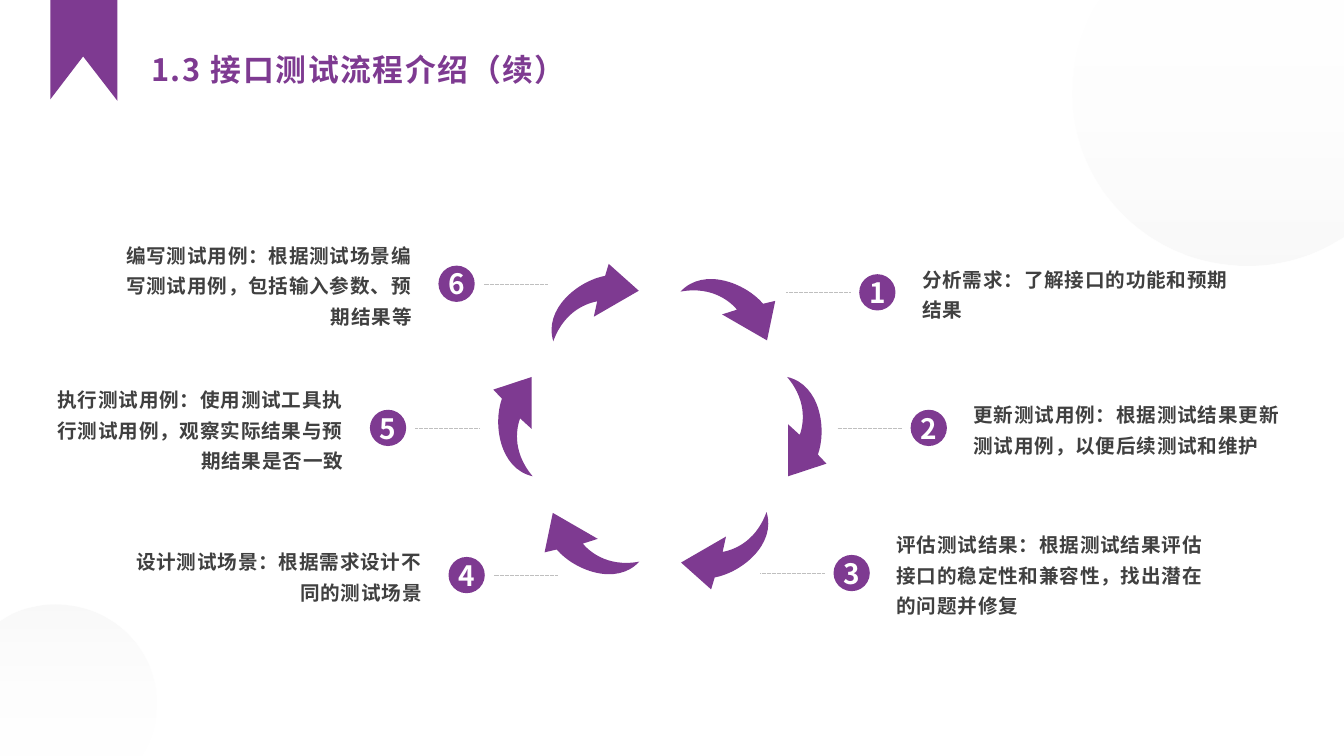
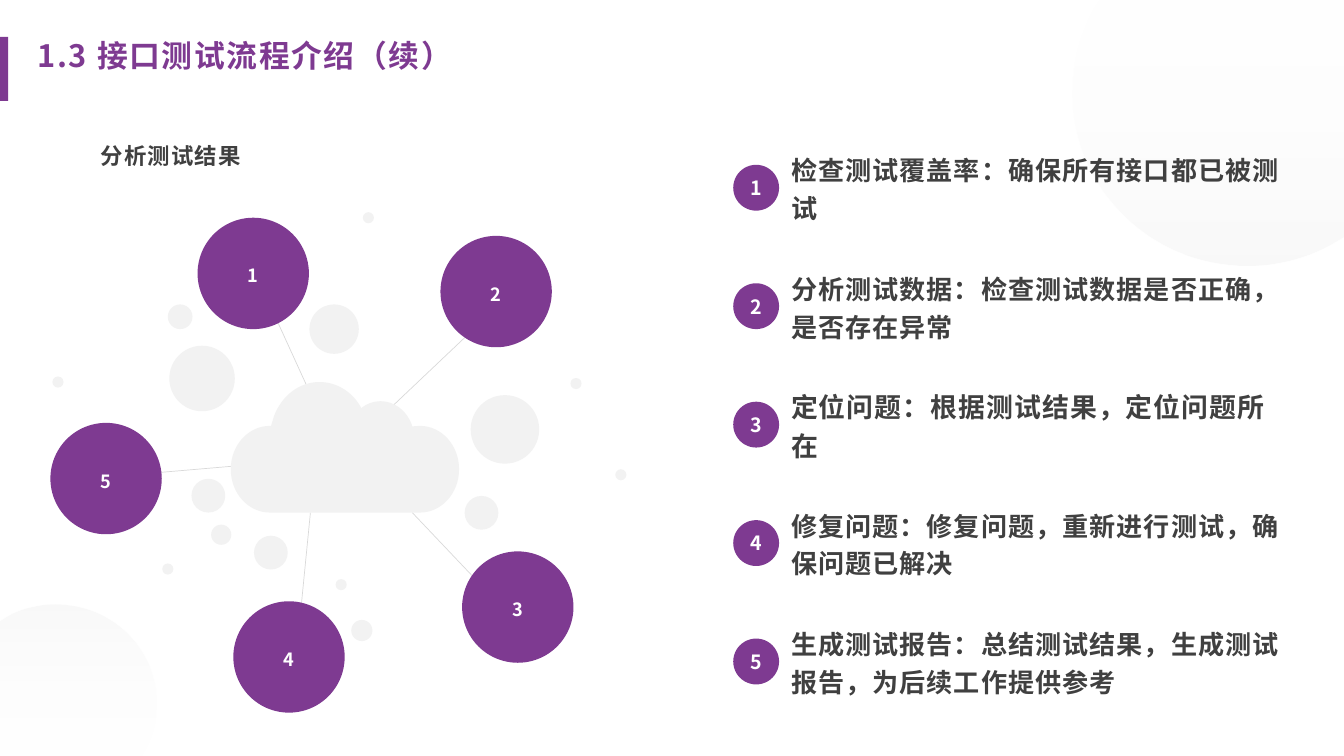
from math import cos, radians, sin

from lxml.etree import SubElement
from pptx import Presentation
from pptx.dml.color import RGBColor
from pptx.enum.dml import MSO_LINE
from pptx.enum.shapes import MSO_CONNECTOR, MSO_SHAPE
from pptx.enum.text import MSO_ANCHOR, MSO_AUTO_SIZE, PP_ALIGN
from pptx.oxml.ns import qn
from pptx.util import Inches, Pt

# Shared style
FONT = "Noto Sans CJK SC"
PURPLE, INK, WHITE = "7E3A91", "404040", "FFFFFF"
PALE, SPOKE, DASH = "F2F2F2", "D9D9D9", "BFBFBF"
TITLE = "1.3 接口测试流程介绍（续）"

# Outlines: a pair is a corner, six numbers are a Bezier curve
TOP_DISC = [
    (21.83, 0), (26.67, 0), (26.67, 4.68), (26.39, 4.84),
    (25.9, 5.11, 25.34, 5.26, 24.74, 5.26), (22.83, 5.26, 21.28, 3.73, 21.28, 1.85),
    (21.28, 1.26, 21.43, 0.71, 21.69, 0.22)]
BOTTOM_DISC = [
    (2.77, 15), (0, 15), (0, 12.32), (0.16, 12.22),
    (0.44, 12.07, 0.76, 11.99, 1.1, 11.99), (2.2, 11.99, 3.09, 12.86, 3.09, 13.94),
    (3.09, 14.28, 3, 14.6, 2.85, 14.87)]
RIBBON = [(1, 0), (2.33, 0), (2.33, 2), (1.65, 1.12), (1, 1.97)]
ARROW = [
    (16.41, 9.2), (15.65, 9.45), (15.65, 8.42), (15.88, 8.63),
    (15.93, 8.49, 16.07, 8, 15.63, 7.48), (16.29, 7.63, 16.42, 8.52, 16.24, 9.02)]
CLOUD = [
    (6.34, 7.58), (6.68, 7.58, 6.98, 7.77, 7.15, 8.06), (7.17, 8.1), (7.18, 8.09),
    (7.28, 8.01, 7.41, 7.96, 7.55, 7.96), (7.83, 7.96, 8.07, 8.15, 8.17, 8.42),
    (8.18, 8.46), (8.33, 8.45), (8.76, 8.45, 9.11, 8.83, 9.11, 9.31),
    (9.11, 9.79, 8.76, 10.17, 8.33, 10.17), (5.36, 10.17),
    (4.93, 10.17, 4.58, 9.79, 4.58, 9.31), (4.58, 8.83, 4.93, 8.45, 5.36, 8.45),
    (5.38, 8.45), (5.44, 8.25), (5.59, 7.86, 5.93, 7.58, 6.34, 7.58)]

# Cycle steps in clockwise order: inner end of the leader line, text
RING_CENTER, ARROW_CENTER = (13.1, 8.47), (16.02, 8.47)
STEPS = [
    (15.6, 5.8, "分析需求：了解接口的功能和预期结果"),
    (16.62, 8.49, "更新测试用例：根据测试结果更新测试用例，以便后续测试和维护"),
    (15.09, 11.37, "评估测试结果：根据测试结果评估接口的稳定性和兼容性，找出潜在的问题并修复"),
    (11.07, 11.41, "设计测试场景：根据需求设计不同的测试场景"),
    (9.51, 8.49, "执行测试用例：使用测试工具执行测试用例，观察实际结果与预期结果是否一致"),
    (10.87, 5.63, "编写测试用例：根据测试场景编写测试用例，包括输入参数、预期结果等")]

# Result analysis: hub circles in number order, spokes, bubbles, list
HUBS = [(3.92, 4.32), (8.74, 4.68), (9.17, 10.94), (4.63, 11.93), (1, 8.39)]
SPOKES = [
    (5.46, 6.28, 6.14, 7.77), (9.4, 6.53, 7.67, 8.17), (8.18, 10.17, 9.67, 11.74),
    (5.95, 12.3, 6.16, 10.17), (3.1, 9.38, 4.85, 9.23)]
BUBBLES = {
    1.36: [(9.34, 7.84)],
    1.3: [(3.36, 6.86)],
    0.98: [(6.14, 6.04)],
    0.67: [(5.04, 10.63), (9.22, 9.84), (3.8, 9.5)],
    0.49: [(3.33, 6.04)],
    0.42: [(6.97, 12.3)],
    0.4: [(4.19, 10.41)],
    0.22: [(7.2, 4.21), (11.32, 7.5), (1.04, 7.47), (12.21, 9.31), (6.66, 11.49),
           (3.22, 11.18)]}
CHECKS = [
    ("检查测试覆盖率：确保所有接口都已被测试", 37.3),
    ("分析测试数据：检查测试数据是否正确，是否存在异常", 37.3),
    ("定位问题：根据测试结果，定位问题所在", 38.4),
    ("修复问题：修复问题，重新进行测试，确保问题已解决", 37.3),
    ("生成测试报告：总结测试结果，生成测试报告，为后续工作提供参考", 37.3)]


def color(value):
    return RGBColor.from_string(value)


def write(sp, text, size, ink, align=PP_ALIGN.LEFT, leading=1.0, tracking=0, inset=True):
    tf = sp.text_frame
    tf.word_wrap = True
    tf.auto_size = MSO_AUTO_SIZE.NONE
    tf.vertical_anchor = MSO_ANCHOR.MIDDLE
    if not inset:
        tf.margin_left = tf.margin_right = tf.margin_top = tf.margin_bottom = 0
    p = tf.paragraphs[0]
    p.text = text
    p.alignment = align
    p.line_spacing = leading
    r = p.runs[0]
    r.font.size = Pt(size)
    r.font.bold = True
    r.font.color.rgb = color(ink)
    r.font.name = FONT
    rPr = r.font._element
    SubElement(rPr, qn("a:ea")).set("typeface", FONT)
    if tracking:
        rPr.set("spc", str(round(tracking * 100)))


def text_box(s, x, y, w, h, text, size, **style):
    sp = s.shapes.add_textbox(*map(Inches, (x, y, w, h)))
    write(sp, text, size, INK, **style)


def paint(sp, fill):
    sp.shadow.inherit = False
    sp.line.fill.background()
    sp.fill.solid()
    sp.fill.fore_color.rgb = color(fill)


def preset(s, kind, x, y, w, h, fill):
    sp = s.shapes.add_shape(kind, *map(Inches, (x, y, w, h)))
    paint(sp, fill)
    return sp


def circle(s, x, y, size, fill):
    return preset(s, MSO_SHAPE.OVAL, x, y, size, size, fill)


def badge(s, x, y, size, number, points, **style):
    write(circle(s, x, y, size, PURPLE), str(number), points, WHITE,
          align=PP_ALIGN.CENTER, **style)


def line(s, x1, y1, x2, y2, ink, width, dash=None):
    c = s.shapes.add_connector(MSO_CONNECTOR.STRAIGHT, *map(Inches, (x1, y1, x2, y2)))
    c.line.color.rgb = color(ink)
    c.line.width = Pt(width)
    if dash:
        c.line.dash_style = dash
    SubElement(c._element.spPr, qn("a:effectLst"))


def pairs(node):
    return list(zip(node[::2], node[1::2]))


def rotate(path, degrees, center):
    cx, cy = center
    c, n = cos(radians(degrees)), sin(radians(degrees))
    return [tuple(v for x, y in pairs(node)
                  for v in (cx + (x - cx) * c - (y - cy) * n,
                            cy + (x - cx) * n + (y - cy) * c))
            for node in path]


def outline(s, path, fill, rotation=0, pivot=(0, 0)):
    """Draw a closed path whose frame is turned by rotation about pivot."""
    path = rotate(path, -rotation, pivot)
    points = [(Inches(x), Inches(y)) for node in path for x, y in pairs(node)]
    fb = s.shapes.build_freeform(*points[0], scale=1.0)
    fb.add_line_segments(points[1:], close=True)
    sp = fb.convert_to_shape()
    # Join the three segments of each curve into one Bezier
    segments = iter(list(sp._element.spPr.iter(qn("a:lnTo"))))
    for node in path[1:]:
        curve = next(segments)
        if len(node) == 6:
            curve.tag = qn("a:cubicBezTo")
            for _ in range(2):
                extra = next(segments)
                curve.append(extra[0])
                extra.getparent().remove(extra)
    paint(sp, fill)
    sp.rotation = rotation
    return sp


def faded_disc(s, path, **turn):
    sp = outline(s, path, WHITE, **turn)
    sp.fill.gradient()
    sp.fill.gradient_angle = 270
    for stop, shade, position in zip(sp.fill.gradient_stops, (WHITE, "E6E6E6"), (0, 1)):
        stop.color.rgb = color(shade)
        stop.position = position
    for clr, alpha in zip(sp._element.spPr.iter(qn("a:srgbClr")), (10, 24)):
        SubElement(clr, qn("a:alpha")).set("val", str(alpha * 1000))


def new_slide(prs, x, y, w, h):
    """Add a slide with the corner discs and its title in the given box."""
    s = prs.slides.add_slide(prs.slide_layouts[5])
    faded_disc(s, TOP_DISC)
    faded_disc(s, BOTTOM_DISC, rotation=180, pivot=(1.55, 13.5))
    title = s.shapes.title
    title.left, title.top, title.width, title.height = map(Inches, (x, y, w, h))
    write(title, TITLE, 44, PURPLE, leading=1.1, tracking=2.3, inset=False)
    return s


def callout(s, x, y, number, text):
    """Leader line, number and text, running outwards from (x, y)."""
    right = x > RING_CENTER[0]
    side = 1 if right else -1
    size, width = 0.72, 6.35 if right else 5.82

    def left_edge(offset, w):
        return x + offset if right else x - offset - w

    line(s, x, y, x + side * 1.27, y, DASH, 0.25, MSO_LINE.DASH)
    badge(s, left_edge(1.45, size), y - size / 2, size, number, 40, inset=False)
    text_box(s, left_edge(2.7, width), y - 1.25, width, 2.45, text, 28,
             align=PP_ALIGN.LEFT if right else PP_ALIGN.RIGHT,
             leading=1.3, tracking=1.2, inset=False)


def cycle_slide(prs):
    s = new_slide(prs, 3, 0.67, 22.67, 1.33)
    outline(s, RIBBON, PURPLE)
    for i, (x, y, text) in enumerate(STEPS):
        turn = 60 * (i - 1)
        arrow, (center,) = (rotate(p, turn, RING_CENTER) for p in (ARROW, [ARROW_CENTER]))
        outline(s, arrow, PURPLE, rotation=90 + turn, pivot=center)
        callout(s, x, y, i + 1, text)


def analysis_slide(prs):
    s = new_slide(prs, 0.74, 0.42, 11.18, 1.27)
    preset(s, MSO_SHAPE.RECTANGLE, 0, 0.73, 0.16, 1.27, PURPLE)
    text_box(s, 2, 2.38, 6.7, 1.43, "分析测试结果", 32, tracking=1.5, inset=False)

    # Cloud with its numbered circles
    for ends in SPOKES:
        line(s, *ends, SPOKE, 1)
    outline(s, CLOUD, PALE)
    for number, (x, y) in enumerate(HUBS, 1):
        badge(s, x, y, 2.21, number, 26, leading=1.2)
    for size, places in BUBBLES.items():
        for x, y in places:
            circle(s, x, y, size, PALE)

    # Numbered list
    for i, (text, points) in enumerate(CHECKS):
        top = 2.86 + 2.35 * i
        text_box(s, 15.6, top, 10.07, 1.67, text, points, leading=1.2, tracking=1.5)
        badge(s, 14.55, top + 0.41, 0.91, i + 1, 28)


def main():
    prs = Presentation()
    prs.slide_width, prs.slide_height = Inches(26.67), Inches(15)
    cycle_slide(prs)
    analysis_slide(prs)
    prs.save("out.pptx")


if __name__ == "__main__":
    main()
